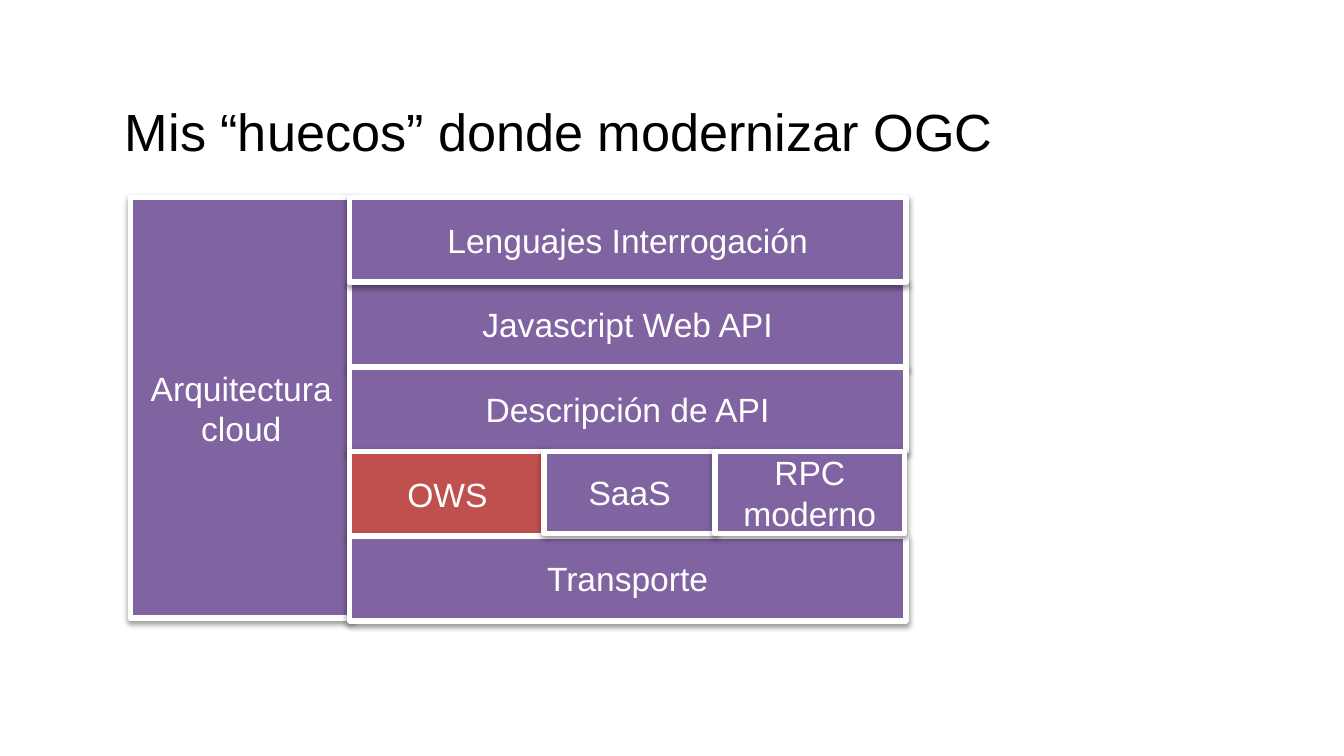
"""Build the slide of the OGC layers that could be modernised."""
from lxml.etree import SubElement
from pptx import Presentation
from pptx.dml.color import RGBColor
from pptx.enum.shapes import MSO_SHAPE
from pptx.enum.text import MSO_ANCHOR, PP_ALIGN
from pptx.oxml.ns import qn
from pptx.util import Inches, Pt

PURPLE = RGBColor(0x80, 0x64, 0xA2)
RED = RGBColor(0xC0, 0x50, 0x4D)
WHITE = RGBColor(0xFF, 0xFF, 0xFF)
BLACK = RGBColor(0, 0, 0)
FONT = "Arial"

TITLE = "Mis “huecos” donde modernizar OGC"
SLIDE_WIDTH = 10
SLIDE_HEIGHT = SLIDE_WIDTH * 9 / 16
STACK_TOP, STACK_HEIGHT = 1.47, 3.13
ROW_HEIGHT, SERVICE_HEIGHT = 0.63, 0.61
CLOUD_LEFT, CLOUD_WIDTH = 0.97, 1.65
LAYER_LEFT, LAYER_WIDTH = 2.6, 4.14

LAYERS = [
    ("Javascript Web API", 1, LAYER_LEFT, LAYER_WIDTH, ROW_HEIGHT, PURPLE),
    ("Descripción de API", 2, LAYER_LEFT, LAYER_WIDTH, ROW_HEIGHT, PURPLE),
    ("OWS", 3, LAYER_LEFT, 1.46, ROW_HEIGHT, RED),
    ("Transporte", 4, LAYER_LEFT, LAYER_WIDTH, ROW_HEIGHT, PURPLE),
    ("SaaS", 3, 4.05, 1.27, SERVICE_HEIGHT, PURPLE),
    ("RPC\nmoderno", 3, 5.32, 1.41, SERVICE_HEIGHT, PURPLE),
    ("Lenguajes Interrogación", 0, LAYER_LEFT, LAYER_WIDTH, ROW_HEIGHT, PURPLE),
]


def format_text(frame, size, color, alignment):
    frame.word_wrap = True
    frame.vertical_anchor = MSO_ANCHOR.MIDDLE
    for paragraph in frame.paragraphs:
        paragraph.alignment = alignment
        for run in paragraph.runs:
            run.font.name = FONT
            run.font.size = Pt(size)
            run.font.color.rgb = color


def add_shadow(block):
    block.shadow.inherit = False
    effects = block._element.spPr.find(qn("a:effectLst"))
    shadow = SubElement(effects, qn("a:outerShdw"), blurRad=str(Pt(3.1)),
                        dist=str(Pt(1.6)), dir="5400000", rotWithShape="0")
    color = SubElement(shadow, qn("a:srgbClr"), val="000000")
    SubElement(color, qn("a:alpha"), val="38000")


def add_block(slide, label, left, top, width, height, fill):
    block = slide.shapes.add_shape(
        MSO_SHAPE.RECTANGLE, Inches(left), Inches(top), Inches(width), Inches(height))
    block.fill.solid()
    block.fill.fore_color.rgb = fill
    block.line.color.rgb = WHITE
    block.line.width = Pt(3)
    add_shadow(block)
    block.text_frame.text = label
    format_text(block.text_frame, 18, WHITE, PP_ALIGN.CENTER)


def main():
    deck = Presentation()
    deck.slide_width, deck.slide_height = Inches(SLIDE_WIDTH), Inches(SLIDE_HEIGHT)
    slide = deck.slides.add_slide(deck.slide_layouts[5])

    title = slide.shapes.title
    title.left, title.top = Inches(0.83), Inches(0.69)
    title.width, title.height = Inches(9.13), Inches(0.57)
    title.text_frame.text = TITLE
    format_text(title.text_frame, 28, BLACK, PP_ALIGN.LEFT)

    add_block(slide, "Arquitectura\ncloud", CLOUD_LEFT, STACK_TOP,
              CLOUD_WIDTH, STACK_HEIGHT, PURPLE)
    for label, row, left, width, height, fill in LAYERS:
        add_block(slide, label, left, STACK_TOP + row * ROW_HEIGHT, width, height, fill)

    deck.save("out.pptx")


if __name__ == "__main__":
    main()
